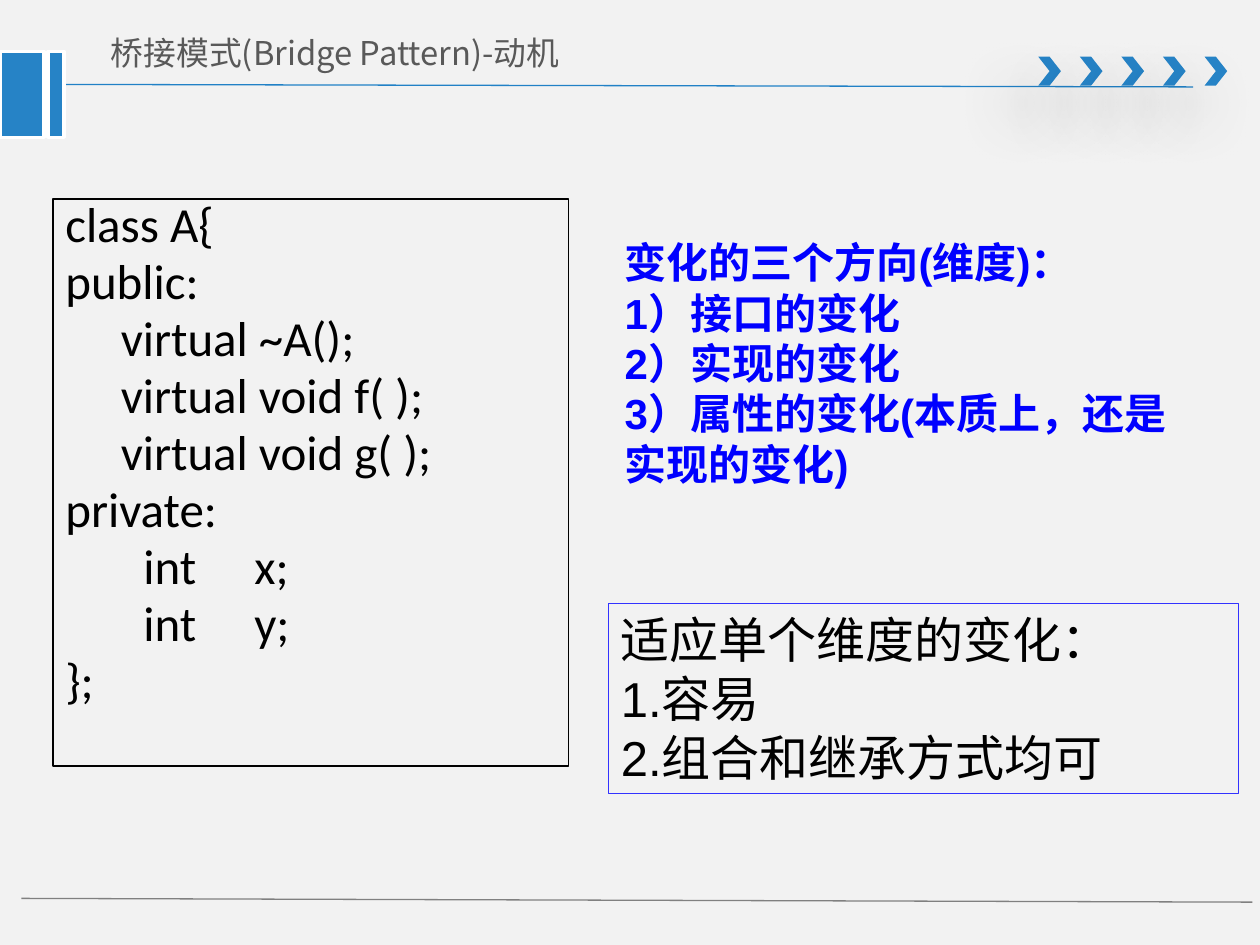
import pptx
import pptx.util
import pptx.dml.color
import pptx.enum.shapes
import pptx.enum.text
import pptx.oxml
import pptx.oxml.ns
import lxml.etree

COLORS = {
    "background": "F2F2F2", "blue": "2683C6", "rule": "2181C6", "white": "FFFFFF",
    "footer": "808080", "title": "595959", "black": "000000",
    "emphasis": "0000FF", "frame": "3333FF",
}
CJK_FONT = "Noto Sans CJK SC"
RGB = pptx.dml.color.RGBColor.from_string
Pt = pptx.util.Pt
qn = pptx.oxml.ns.qn
SHAPES = pptx.enum.shapes.MSO_SHAPE

presentation = pptx.Presentation()
presentation.slide_width = pptx.util.Inches(10)
presentation.slide_height = pptx.util.Inches(7.5)
slide = presentation.slides.add_slide(presentation.slide_layouts[6])
slide.background.fill.solid()
slide.background.fill.fore_color.rgb = RGB(COLORS["background"])

# Grid of 100 columns by 75 rows
column = presentation.slide_width / 100
row = presentation.slide_height / 75


def add_box(kind, left, top, width, height, fill=None, line=None, line_width=0.75):
    shape = slide.shapes.add_shape(
        kind, int(left * column), int(top * row), int(width * column), int(height * row))
    shape.shadow.inherit = False
    if fill:
        shape.fill.solid()
        shape.fill.fore_color.rgb = RGB(COLORS[fill])
    else:
        shape.fill.background()
    if line:
        shape.line.color.rgb = RGB(COLORS[line])
        shape.line.width = Pt(line_width)
    else:
        shape.line.fill.background()
    return shape


def write_text(shape, lines, size, font, color, bold=False):
    text_frame = shape.text_frame
    text_frame.word_wrap = True
    text_frame.vertical_anchor = pptx.enum.text.MSO_ANCHOR.TOP
    text_frame.text = "\n".join(lines)
    for paragraph in text_frame.paragraphs:
        paragraph.alignment = pptx.enum.text.PP_ALIGN.LEFT
        for run in paragraph.runs:
            run.font.size = Pt(size)
            run.font.name = font
            run.font.bold = bold
            run.font.color.rgb = RGB(COLORS[color])
            east_asian = lxml.etree.SubElement(run.font._element, qn("a:ea"))
            east_asian.set("typeface", CJK_FONT)
    return text_frame


# Header and footer rules
for x1, y1, x2, y2, color in [(4, 6.7, 94.7, 6.9, "rule"), (1.7, 71.3, 99.4, 71.6, "footer")]:
    connector = slide.shapes.add_connector(
        pptx.enum.shapes.MSO_CONNECTOR.STRAIGHT,
        int(x1 * column), int(y1 * row), int(x2 * column), int(y2 * row))
    connector.line.color.rgb = RGB(COLORS[color])
    connector.line.width = Pt(0.75)
    lxml.etree.SubElement(connector._element.spPr, qn("a:effectLst"))

# Header chevrons with a soft shadow
for index in range(5):
    chevron = add_box(SHAPES.CHEVRON, 82.4 + 3.3 * index, 4.5, 1.8, 2.3, fill="blue")
    effects = chevron._element.spPr.find(qn("a:effectLst"))
    shadow = lxml.etree.SubElement(
        effects, qn("a:outerShdw"), blurRad=str(Pt(36)), dist=str(Pt(24)),
        dir=str(130 * 60000), rotWithShape="0")
    shadow_color = lxml.etree.SubElement(shadow, qn("a:srgbClr"), val=COLORS["black"])
    lxml.etree.SubElement(shadow_color, qn("a:alpha"), val="38000")

# Header blocks
for left, width in [(0, 3.5), (3.8, 1.3)]:
    add_box(SHAPES.RECTANGLE, left, 4.1, width, 6.8, "blue", "white", 2)

# Title
title = slide.shapes.add_textbox(
    int(7.4 * column), int(1.4 * row), int(60.1 * column), int(5.5 * row))
title_frame = write_text(title, ["桥接模式(Bridge Pattern)-动机"], 18.7, CJK_FONT, "title")
title_frame.vertical_anchor = pptx.enum.text.MSO_ANCHOR.MIDDLE
title_frame.margin_left = title_frame.margin_right = int(1.4 * column)
title_frame.margin_top = title_frame.margin_bottom = int(0.7 * row)

# Class listing: first-line indent in columns, then the code
code = [
    (0, "class A{"), (0, "public:"),
    (4.4, "virtual ~A();"), (4.4, "virtual void f( );"), (4.4, "virtual void g( );"),
    (0, "private:"), (6.2, "int\tx;"), (6.2, "int\ty;"), (0, "};"),
]
listing = add_box(SHAPES.RECTANGLE, 4.2, 15.8, 40.9, 45, line="black")
listing_frame = write_text(listing, [text for _, text in code], 28, "Calibri", "black")
for paragraph, (indent, text) in zip(listing_frame.paragraphs, code):
    paragraph.line_spacing = 0.8
    paragraph.space_before = Pt(5.6)
    properties = paragraph._p.get_or_add_pPr()
    properties.set("marL", "0")
    properties.set("indent", str(int(indent * column)))
    if "\t" in text:
        tabs = lxml.etree.SubElement(properties, qn("a:tabLst"))
        lxml.etree.SubElement(tabs, qn("a:tab"), pos=str(int(13.9 * column)), algn="l")

# Three directions of change
directions = slide.shapes.add_textbox(
    int(48.6 * column), int(18.3 * row), int(45 * column), int(21.2 * row))
write_text(directions, [
    "变化的三个方向(维度)：", "1）接口的变化", "2）实现的变化",
    "3）属性的变化(本质上，还是实现的变化)",
], 24, "Arial", "emphasis", bold=True)

# Conclusion
conclusion = add_box(SHAPES.RECTANGLE, 48.3, 47.9, 50, 15.1, line="frame")
write_text(conclusion, ["适应单个维度的变化：", "1.容易", "2.组合和继承方式均可"],
           28, "Arial", "black")

presentation.save("out.pptx")
